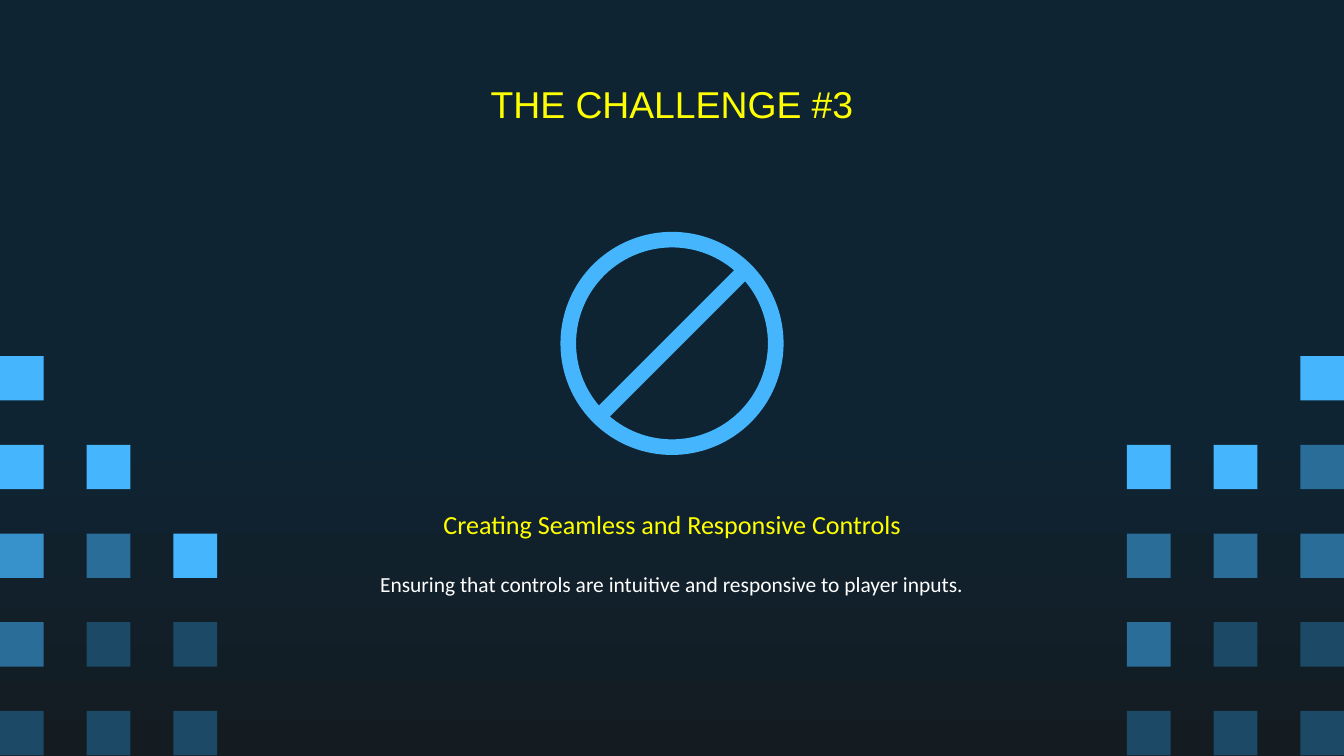
from lxml.etree import SubElement
from pptx import Presentation
from pptx.dml.color import RGBColor
from pptx.enum.shapes import MSO_SHAPE as Shape
from pptx.enum.text import MSO_ANCHOR as Anchor, MSO_AUTO_SIZE as AutoSize, PP_ALIGN as Align
from pptx.oxml.ns import qn
from pptx.util import Emu, Pt

EMU_PER_PX = 9144  # 100 px to the inch

COLORS = {
    "night": "0E2433",
    "ground": "141C21",
    "bright": "45B6FE",
    "sky": "3792CB",
    "steel": "296D98",
    "deep": "1C4966",
    "yellow": "FFFF00",
    "white": "FFFFFF",
}
TILE_KEYS = {"b": "bright", "s": "sky", "m": "steel", "d": "deep"}
TILE_WIDTH, TILE_HEIGHT = 65, 66
COLUMN_STEP, ROW_STEP = 129, 132
TILES_TOP = 530
LEFT_TILES = ["b  ", "bb ", "smb", "mdd", "ddd"]
RIGHT_TILES = ["  b", "bbm", "mmm", "mdd", "ddd"]


def px(length):
    return Emu(length * EMU_PER_PX)


def color(name):
    return RGBColor.from_string(COLORS[name])


def paint_background(slide):
    fill = slide.background.fill
    fill.gradient()
    fill.gradient_angle = 270
    for stop, name, position in zip(fill.gradient_stops, ("night", "ground"), (0.56, 1)):
        stop.color.rgb = color(name)
        stop.position = position


def add_solid(slide, preset, left, top, width, height, fill):
    solid = slide.shapes.add_shape(preset, px(left), px(top), px(width), px(height))
    solid.shadow.inherit = False
    solid.fill.solid()
    solid.fill.fore_color.rgb = color(fill)
    solid.line.fill.background()
    return solid


def add_tiles(slide, left, rows):
    """Draw one tile per letter in rows; a space leaves a gap."""
    for row, keys in enumerate(rows):
        for column, key in enumerate(keys):
            if key in TILE_KEYS:
                add_solid(slide, Shape.RECTANGLE, left + column * COLUMN_STEP,
                          TILES_TOP + row * ROW_STEP, TILE_WIDTH, TILE_HEIGHT,
                          TILE_KEYS[key])


def add_prohibition_sign(slide):
    sign = add_solid(slide, Shape.NO_SYMBOL, 834, 345, 332, 332, "bright")
    sign.adjustments[0] = 0.07
    sign.rotation = 90


def place_text(holder, left, top, width, height):
    holder.left, holder.top, holder.width, holder.height = map(px, (left, top, width, height))
    frame = holder.text_frame
    frame.margin_left = frame.margin_top = frame.margin_right = frame.margin_bottom = 0
    frame.vertical_anchor = Anchor.TOP
    frame.word_wrap = True
    frame.auto_size = AutoSize.NONE
    return frame


def write(paragraph, text, *, size, fill, leading, font="Calibri", before=0):
    properties = paragraph._p.get_or_add_pPr()
    properties.set("marL", "0")
    properties.set("indent", "0")
    SubElement(properties, qn("a:buNone"))
    paragraph.alignment = Align.CENTER
    paragraph.line_spacing = Pt(leading)
    paragraph.space_before = Pt(before)
    paragraph.space_after = Pt(0)
    run = paragraph.add_run()
    run.text = text
    run.font.name = font
    run.font.size = Pt(size)
    run.font.color.rgb = color(fill)


def main():
    deck = Presentation()
    deck.slide_width, deck.slide_height = px(2000), px(1125)
    slide = deck.slides.add_slide(deck.slide_layouts[1])
    paint_background(slide)
    add_tiles(slide, 1677, RIGHT_TILES)
    add_tiles(slide, 0, LEFT_TILES)

    title = place_text(slide.shapes.title, 167, 121, 1666, 67)
    write(title.paragraphs[0], "THE CHALLENGE #3", size=40, fill="yellow",
          leading=48, font="Arial")

    challenge = place_text(slide.placeholders[1], 545, 757, 910, 168)
    write(challenge.paragraphs[0], "Creating Seamless and Responsive Controls",
          size=28, fill="yellow", leading=33.6)
    write(challenge.add_paragraph(),
          "Ensuring that controls are intuitive and responsive to player inputs.",
          size=23, fill="white", leading=27.6, before=33.6)

    add_prohibition_sign(slide)
    deck.save("out.pptx")


if __name__ == "__main__":
    main()
